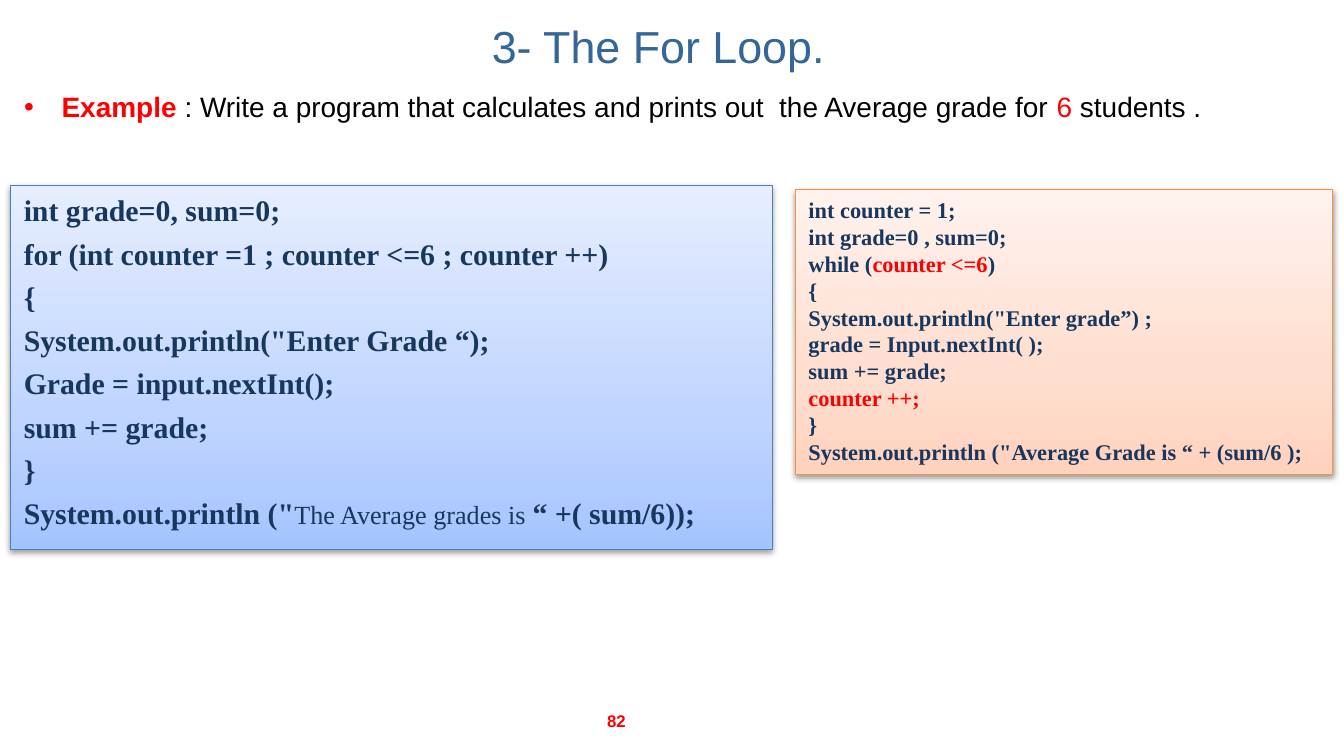
from lxml import etree
from pptx import Presentation
from pptx.dml.color import RGBColor
from pptx.enum.shapes import MSO_SHAPE
from pptx.enum.text import MSO_ANCHOR as ANCHOR, MSO_AUTO_SIZE as AUTO, PP_ALIGN as ALIGN
from pptx.oxml import parse_xml
from pptx.oxml.ns import nsdecls, qn
from pptx.util import Cm, Pt

RED, NAVY, BLACK = "FF0000", "17375E", "000000"


def paint(fmt, color):
    if hasattr(fmt, "solid"):
        fmt.solid()
        fmt.fore_color.rgb = RGBColor.from_string(color)
    else:
        fmt.color.rgb = RGBColor.from_string(color)


def write(p, runs, font):
    for text, size, bold, color in runs:
        r = p.add_run()
        r.text = text
        r.font.name = font
        r.font.size = Pt(size)
        r.font.bold = bold
        paint(r.font, color)


prs = Presentation()
prs.slide_width, prs.slide_height = Cm(25.4), Cm(14.28)
s = prs.slides.add_slide(prs.slide_layouts[1])

title, body = s.shapes.title, s.placeholders[1]
title.left, title.top, title.width, title.height = Cm(4.11), Cm(0.15), Cm(16.66), Cm(1.42)
tf = title.text_frame
tf.auto_size = AUTO.NONE
tf.vertical_anchor = ANCHOR.MIDDLE
p = tf.paragraphs[0]
p.alignment = ALIGN.CENTER
write(p, [("3- The For Loop.", 24, False, "336699")], "Arial")

body.left, body.top, body.width, body.height = Cm(0.2), Cm(1.57), Cm(23.93), Cm(1.91)
tf = body.text_frame
tf.auto_size = AUTO.NONE
p = tf.paragraphs[0]
pPr = p._p.get_or_add_pPr()
pPr.set("marL", str(Cm(0.71)))
pPr.set("indent", str(Cm(-0.71)))
etree.SubElement(pPr, qn("a:buChar")).set("char", "•")
p.space_before = Pt(0)
write(p, [
    ("Example", 15, True, RED),
    (" : Write a program that calculates and prints out  the Average grade for ", 15, False, BLACK),
    ("6", 15, False, RED),
    (" students .", 15, False, BLACK),
], "Arial")

for_code = [[(line, 16, True, NAVY)] for line in (
    "int grade=0, sum=0;",
    "for (int counter =1 ; counter <=6 ; counter ++)",
    "{",
    'System.out.println("Enter Grade “);',
    "Grade = input.nextInt();",
    "sum += grade;",
    "}",
    'System.out.println ("',
)]
for_code[-1] += [("The Average grades is ", 14, False, NAVY), ("“ +( sum/6));", 16, True, NAVY)]

while_code = [[(line, 12, True, NAVY)] for line in (
    "int counter = 1;",
    "int grade=0 , sum=0;",
    "while (",
    "{",
    'System.out.println("Enter grade”) ;',
    "grade = Input.nextInt( );",
    "sum += grade;",
    "counter ++;",
    "}",
    'System.out.println ("Average Grade is “ + (sum/6 );',
)]
while_code[2] += [("counter <=6", 12, True, RED), (")", 12, True, NAVY)]
while_code[7] = [("counter ++;", 12, True, RED)]

panels = [
    ((0.2, 3.5, 14.4, 6.88), ("A4C4FF", "BFD4FF", "E6EEFF"), "4B7EBC", for_code, 0.58, 4),
    ((15.03, 3.58, 10.16, 5.38), ("FFD2BD", "FFDED0", "FFF2ED"), "F69240", while_code, 0, 0),
]
for box, stops, edge, code, hang, gap in panels:
    sp = s.shapes.add_shape(MSO_SHAPE.RECTANGLE, *map(Cm, box))
    sp.line.width = Pt(0.75)
    paint(sp.line.fill, edge)
    sp.fill.gradient()
    sp.fill.gradient_angle = 90
    gs_lst = sp._element.spPr.find(qn("a:gradFill")).find(qn("a:gsLst"))
    for gs in list(gs_lst):
        gs_lst.remove(gs)
    for pos, color in zip((0, 35, 100), stops):
        gs = etree.SubElement(gs_lst, qn("a:gs"), pos=str(pos * 1000))
        etree.SubElement(gs, qn("a:srgbClr"), val=color)
    sp.shadow.inherit = False
    sp._element.spPr.find(qn("a:effectLst")).append(parse_xml(
        f'<a:outerShdw {nsdecls("a")} blurRad="40000" dist="20000" dir="5400000" rotWithShape="0">'
        '<a:srgbClr val="000000"><a:alpha val="38000"/></a:srgbClr></a:outerShdw>'))

    tf = sp.text_frame
    tf.word_wrap = True
    tf.vertical_anchor = ANCHOR.TOP
    for i, runs in enumerate(code):
        p = tf.add_paragraph() if i else tf.paragraphs[0]
        p.alignment = ALIGN.LEFT
        p.space_before = Pt(gap if i else 0)
        pPr = p._p.get_or_add_pPr()
        pPr.set("marL", str(Cm(hang)))
        pPr.set("indent", str(Cm(-hang)))
        write(p, runs, "Times New Roman")

number = s.shapes.add_textbox(Cm(8.69), Cm(13.23), Cm(5.92), Cm(0.76))
tf = number.text_frame
tf.word_wrap = True
tf.vertical_anchor = ANCHOR.MIDDLE
p = tf.paragraphs[0]
p.alignment = ALIGN.CENTER
write(p, [("82", 9, True, RED)], "Arial")

prs.save("out.pptx")
